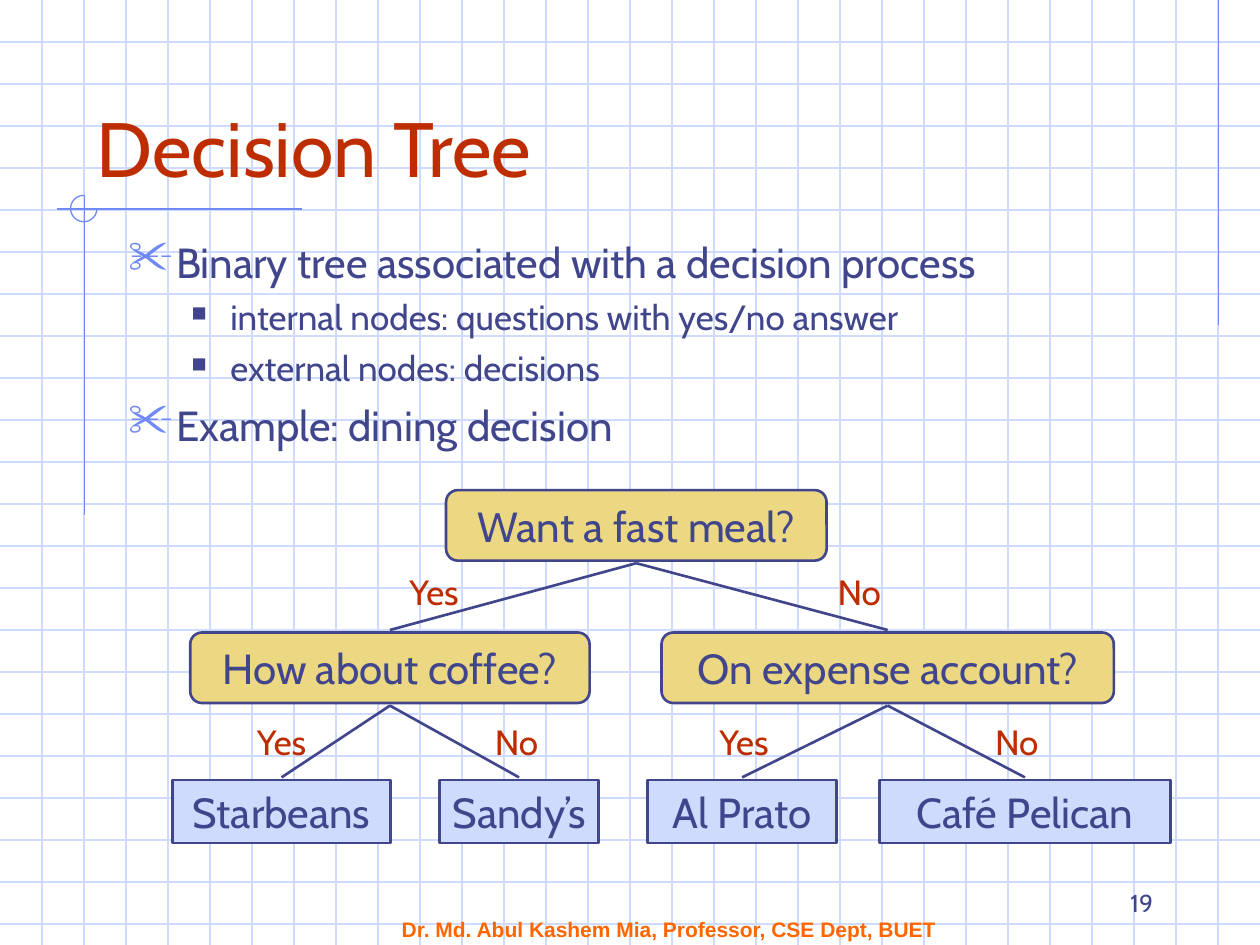
import pptx
import pptx.dml.color
import pptx.enum.shapes
import pptx.enum.text
import pptx.oxml
import pptx.oxml.ns
import pptx.util
from lxml import etree

Inches = pptx.util.Inches
Pt = pptx.util.Pt
RGBColor = pptx.dml.color.RGBColor
Shapes = pptx.enum.shapes.MSO_SHAPE
Align = pptx.enum.text.PP_ALIGN
Anchor = pptx.enum.text.MSO_ANCHOR

GRID_BLUE = RGBColor(0xCF, 0xDB, 0xFD)
ACCENT_BLUE = RGBColor(0x6F, 0x89, 0xF7)
NAVY = RGBColor(0x40, 0x45, 0x8C)
RED = RGBColor(0xBE, 0x2D, 0x00)
ORANGE = RGBColor(0xFF, 0x66, 0x00)
SAND = RGBColor(0xEC, 0xD8, 0x82)

presentation = pptx.Presentation()
presentation.slide_width = Inches(10)
presentation.slide_height = Inches(7.5)
slide = presentation.slides.add_slide(presentation.slide_layouts[6])


def add_line(x1, y1, x2, y2, color, width=0.75):
    connector = slide.shapes.add_connector(
        pptx.enum.shapes.MSO_CONNECTOR.STRAIGHT,
        Inches(x1), Inches(y1), Inches(x2), Inches(y2))
    connector.line.color.rgb = color
    connector.line.width = Pt(width)
    properties = connector._element.spPr
    etree.SubElement(properties, pptx.oxml.ns.qn("a:effectLst"))


def write(shape, text, size, color, align=Align.LEFT, anchor=Anchor.TOP,
          wrap=False, font="Cabin", bold=False):
    """Fill a shape with one paragraph of text."""
    frame = shape.text_frame
    frame.word_wrap = wrap
    frame.vertical_anchor = anchor
    paragraph = frame.paragraphs[0]
    paragraph.text = text
    paragraph.alignment = align
    paragraph.font.size = Pt(size)
    paragraph.font.name = font
    paragraph.font.bold = bold
    paragraph.font.color.rgb = color


# Graph paper background
for row in range(1, 23):
    add_line(0, row / 3, 10, row / 3, GRID_BLUE)
for column in range(1, 30):
    add_line(column / 3, 0, column / 3, 7.5, GRID_BLUE)

# Accent lines and three-quarter circle
add_line(9.67, 0, 9.67, 2.58, ACCENT_BLUE)
add_line(2.4, 1.66, 0.45, 1.66, ACCENT_BLUE)
add_line(0.67, 1.55, 0.67, 4.09, ACCENT_BLUE)
arc = slide.shapes.add_shape(
    Shapes.ARC, Inches(0.56), Inches(1.55), Inches(0.21), Inches(0.21))
arc.adjustments[0] = 0
arc.adjustments[1] = 162  # 270 degrees
arc.fill.background()
arc.line.color.rgb = ACCENT_BLUE
arc.line.width = Pt(0.75)
arc.shadow.inherit = False

# Footer, slide number and title
footer = slide.shapes.add_textbox(
    Inches(3.09), Inches(7.28), Inches(4.67), Inches(0.18))
write(footer, "Dr. Md. Abul Kashem Mia, Professor, CSE Dept, BUET", 12, ORANGE,
      anchor=Anchor.MIDDLE, wrap=True, font="Arial", bold=True)
number = slide.shapes.add_textbox(
    Inches(7.17), Inches(6.83), Inches(2.08), Inches(0.5))
write(number, "19", 14, NAVY, Align.RIGHT, Anchor.BOTTOM, wrap=True)
title = slide.shapes.add_textbox(
    Inches(0.67), Inches(0.33), Inches(8.5), Inches(1.25))
write(title, "Decision Tree", 44, RED, anchor=Anchor.BOTTOM, wrap=True)

# Bulleted body: size, space before, left margin, hanging, bullet, its colour and percent
LEVELS = [
    (24, 6, 0.38, 0.38, "✂", ACCENT_BLUE, 110),
    (20, 5, 0.81, 0.31, "■", NAVY, 60),
]
BODY = [
    (0, "Binary tree associated with a decision process"),
    (1, "internal nodes: questions with yes/no answer"),
    (1, "external nodes: decisions"),
    (0, "Example: dining decision"),
]
body = slide.shapes.add_textbox(
    Inches(0.92), Inches(1.83), Inches(8.5), Inches(2))
body.text_frame.word_wrap = True
for index, (level, text) in enumerate(BODY):
    size, space, margin, hanging, bullet, bullet_color, percent = LEVELS[level]
    paragraph = (body.text_frame.add_paragraph() if index
                 else body.text_frame.paragraphs[0])
    paragraph.text = text
    paragraph.level = level
    paragraph.space_before = Pt(space)
    properties = paragraph._p.get_or_add_pPr()
    properties.set("marL", str(Inches(margin)))
    properties.set("indent", str(-Inches(hanging)))
    namespace = pptx.oxml.ns.nsdecls("a")
    for xml in (
        f'<a:buClr {namespace}><a:srgbClr val="{bullet_color}"/></a:buClr>',
        f'<a:buSzPct {namespace} val="{percent * 1000}"/>',
        f'<a:buChar {namespace} char="{bullet}"/>',
    ):
        properties.append(pptx.oxml.parse_xml(xml))
    paragraph.font.size = Pt(size)
    paragraph.font.name = "Cabin"
    paragraph.font.color.rgb = NAVY

# Tree nodes: text, left, top, width
QUESTIONS = [
    ("Want a fast meal?", 3.54, 3.89, 3.02),
    ("How about coffee?", 1.51, 5.02, 3.17),
    ("On expense account?", 5.25, 5.02, 3.59),
]
DECISIONS = [
    ("Starbeans", 1.37, 6.19, 1.73),
    ("Sandy’s", 3.49, 6.19, 1.26),
    ("Al Prato", 5.14, 6.19, 1.5),
    ("Café Pelican", 6.98, 6.19, 2.31),
]
QUESTION_HEIGHT = 0.56
for nodes, kind, height, fill in (
    (QUESTIONS, Shapes.ROUNDED_RECTANGLE, QUESTION_HEIGHT, SAND),
    (DECISIONS, Shapes.RECTANGLE, 0.5, GRID_BLUE),
):
    for text, left, top, width in nodes:
        node = slide.shapes.add_shape(
            kind, Inches(left), Inches(top), Inches(width), Inches(height))
        node.fill.solid()
        node.fill.fore_color.rgb = fill
        node.line.color.rgb = NAVY
        node.line.width = Pt(1.5)
        node.shadow.inherit = False
        write(node, text, 24, NAVY, Align.CENTER, Anchor.MIDDLE)

# Each question leads to the next two nodes in level order
tree = QUESTIONS + DECISIONS
for index, (_, left, top, width) in enumerate(QUESTIONS):
    for _, child_left, child_top, child_width in tree[2 * index + 1:2 * index + 3]:
        add_line(left + width / 2, top + QUESTION_HEIGHT + 0.02,
                 child_left + child_width / 2, child_top - 0.02, NAVY, 1.5)

# Branch labels: left of Yes, left of No, top
for yes_left, no_left, top in ((3.12, 6.53, 4.48), (1.91, 3.81, 5.67), (5.58, 7.78, 5.67)):
    for text, left, width in (("Yes", yes_left, 0.65), ("No", no_left, 0.58)):
        label = slide.shapes.add_textbox(
            Inches(left), Inches(top), Inches(width), Inches(0.44))
        write(label, text, 20, RED, Align.CENTER)

presentation.save("out.pptx")
